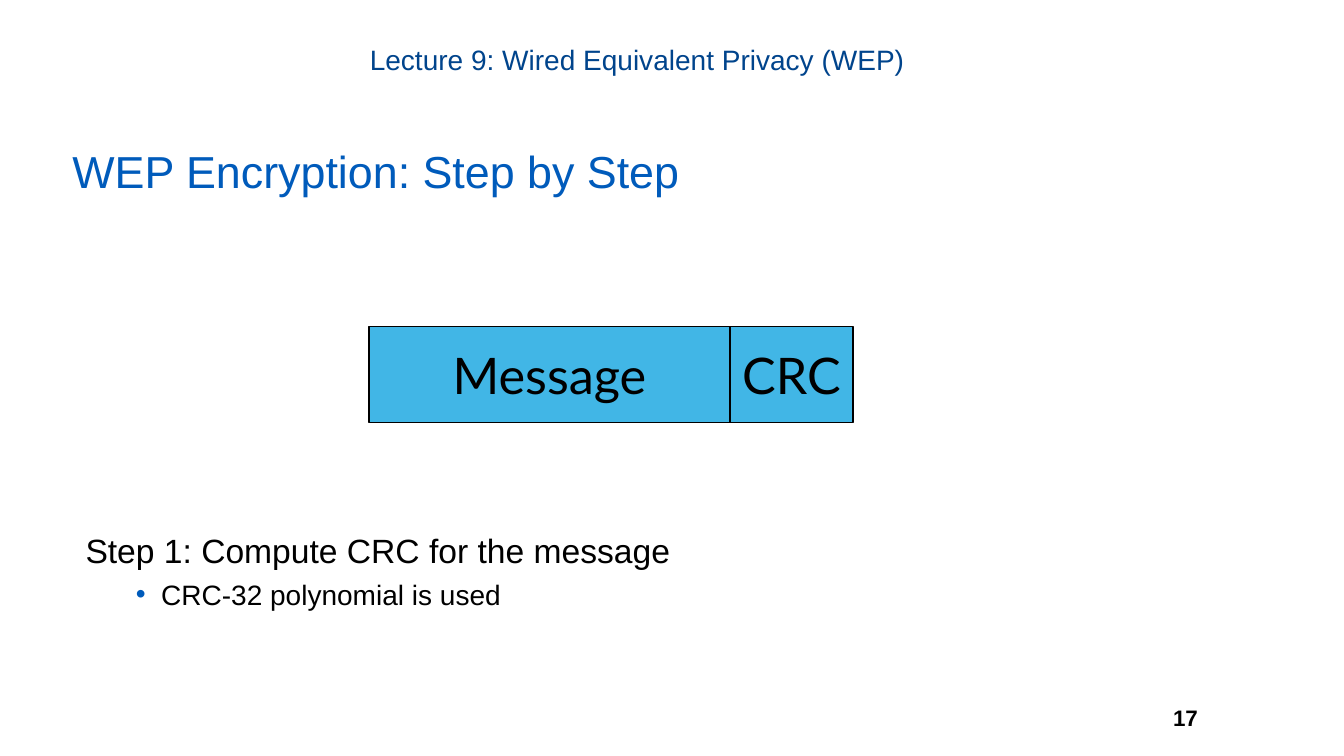
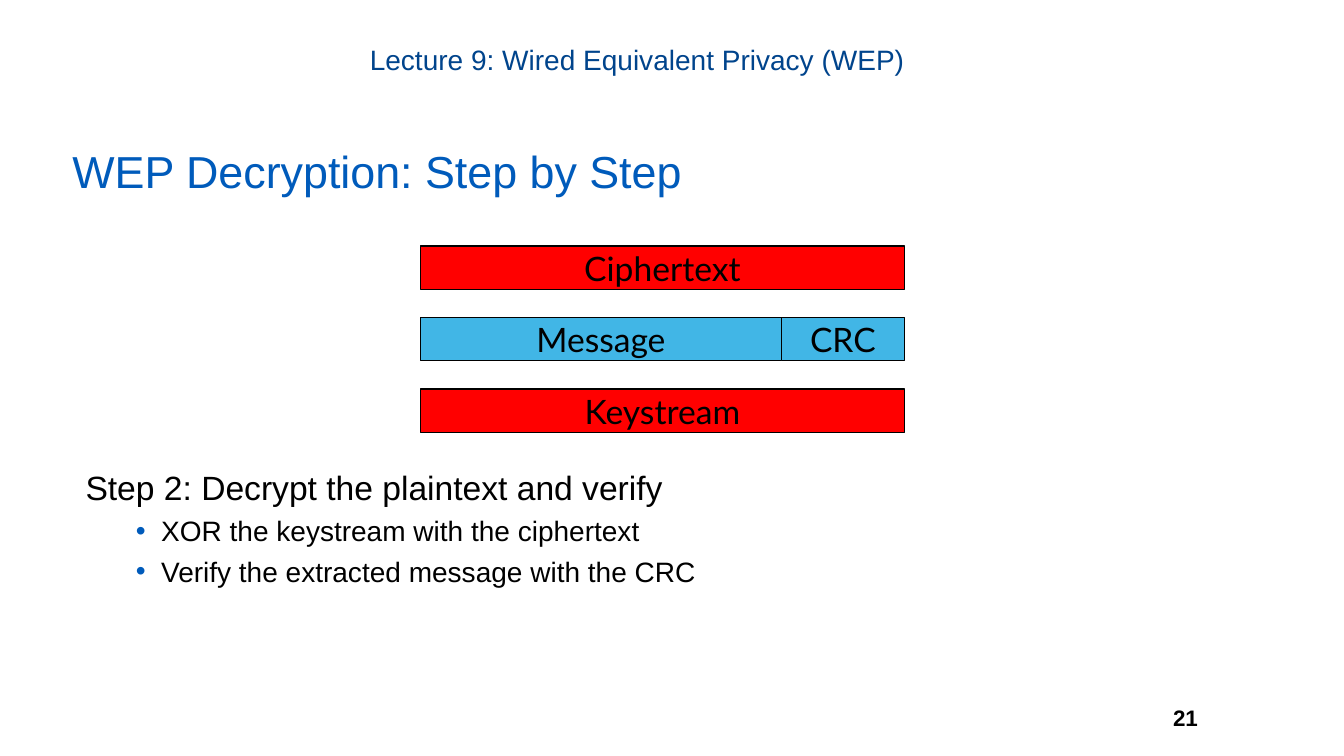
"""Build two lecture slides on WEP encryption and decryption."""
from lxml import etree
from pptx import Presentation
from pptx.dml.color import RGBColor
from pptx.enum.shapes import MSO_SHAPE
from pptx.enum.text import MSO_ANCHOR, PP_ALIGN
from pptx.oxml.ns import qn
from pptx.util import Pt

PX = 9144
LEFT, CENTER, RIGHT = PP_ALIGN.LEFT, PP_ALIGN.CENTER, PP_ALIGN.RIGHT
MIDDLE = MSO_ANCHOR.MIDDLE
RECT = MSO_SHAPE.RECTANGLE
BLACK, NAVY, BLUE, SKY, RED = "000000", "00448C", "005BBB", "41B6E6", "FF0000"
MESSAGE_W, CRC_W = 358, 122
FULL_W = MESSAGE_W + CRC_W


def add_box(s, x, y, w, h, fill=None, insets=(10, 5, 10, 5)):
    """Add a text box, or a filled rectangle, and return its text frame."""
    place = [v * PX for v in (x, y, w, h)]
    if fill:
        sp = s.shapes.add_shape(RECT, *place)
        sp.shadow.inherit = False
        sp.fill.solid()
        sp.fill.fore_color.rgb = RGBColor.from_string(fill)
        sp.line.color.rgb = RGBColor.from_string(BLACK)
        sp.line.width = Pt(1)
    else:
        sp = s.shapes.add_textbox(*place)
    tf = sp.text_frame
    tf.word_wrap = not fill
    tf.margin_left, tf.margin_top, tf.margin_right, tf.margin_bottom = [v * PX for v in insets]
    return tf


def write(p, text, size, color=BLACK, font="Arial", bold=False, align=LEFT, spacing=None, bullet=False):
    """Fill a paragraph with one formatted run."""
    if bullet:
        p.level = 1
        pPr = p._p.get_or_add_pPr()
        pPr.set("marL", str(75 * PX))
        pPr.set("indent", str(-25 * PX))
        buClr = etree.SubElement(pPr, qn("a:buClr"))
        etree.SubElement(buClr, qn("a:srgbClr"), val=BLUE)
        etree.SubElement(pPr, qn("a:buFont"), typeface="Arial")
        etree.SubElement(pPr, qn("a:buChar"), char="•")
        p.space_before = Pt(5)
    p.alignment = align
    if spacing:
        p.line_spacing = spacing
    r = p.add_run()
    r.text = text
    r.font.name = font
    r.font.size = Pt(size)
    r.font.bold = bold
    r.font.color.rgb = RGBColor.from_string(color)


prs = Presentation()
prs.slide_width, prs.slide_height = 1333 * PX, 750 * PX

slides = [
    {
        "number": "17",
        "title": "WEP Encryption: Step by Step",
        "step": "Step 1: Compute CRC for the message",
        "bullets": ["CRC-32 polynomial is used"],
        "body": (521, 146),
        "blocks": (366, 324, 95, 0, 36),
        "rows": [[("Message", MESSAGE_W, SKY), ("CRC", CRC_W, SKY)]],
    },
    {
        "number": "21",
        "title": "WEP Decryption: Step by Step",
        "step": "Step 2: Decrypt the plaintext and verify",
        "bullets": [
            "XOR the keystream with the ciphertext",
            "Verify the extracted message with the CRC",
        ],
        "body": (458, 209),
        "blocks": (417, 244, 43, 28, 24),
        "rows": [
            [("Ciphertext", FULL_W, RED)],
            [("Message", MESSAGE_W, SKY), ("CRC", CRC_W, SKY)],
            [("Keystream", FULL_W, RED)],
        ],
    },
]

for content in slides:
    s = prs.slides.add_slide(prs.slide_layouts[6])

    tf = add_box(s, 1122, 683, 79, 58, insets=(13, 7, 13, 7))
    tf.vertical_anchor = MIDDLE
    write(tf.paragraphs[0], content["number"], 16, bold=True, align=RIGHT)

    tf = add_box(s, 274, 37, 726, 37, insets=(0, 5, 10, 5))
    write(tf.paragraphs[0], "Lecture 9: Wired Equivalent Privacy (WEP)", 20, color=NAVY, align=CENTER)

    tf = add_box(s, 62, 144, 1150, 95)
    write(tf.paragraphs[0], content["title"], 32, color=BLUE, spacing=0.9)

    top, height = content["body"]
    tf = add_box(s, 75, top, 850, height)
    write(tf.paragraphs[0], content["step"], 24)
    for bullet in content["bullets"]:
        write(tf.add_paragraph(), bullet, 20, bullet=True)

    left, y, height, gap, size = content["blocks"]
    for row in content["rows"]:
        x = left
        for label, width, fill in row:
            tf = add_box(s, x, y, width, height, fill=fill)
            tf.vertical_anchor = MIDDLE
            write(tf.paragraphs[0], label, size, font="Lato", align=CENTER)
            x += width
        y += height + gap

prs.save("out.pptx")
